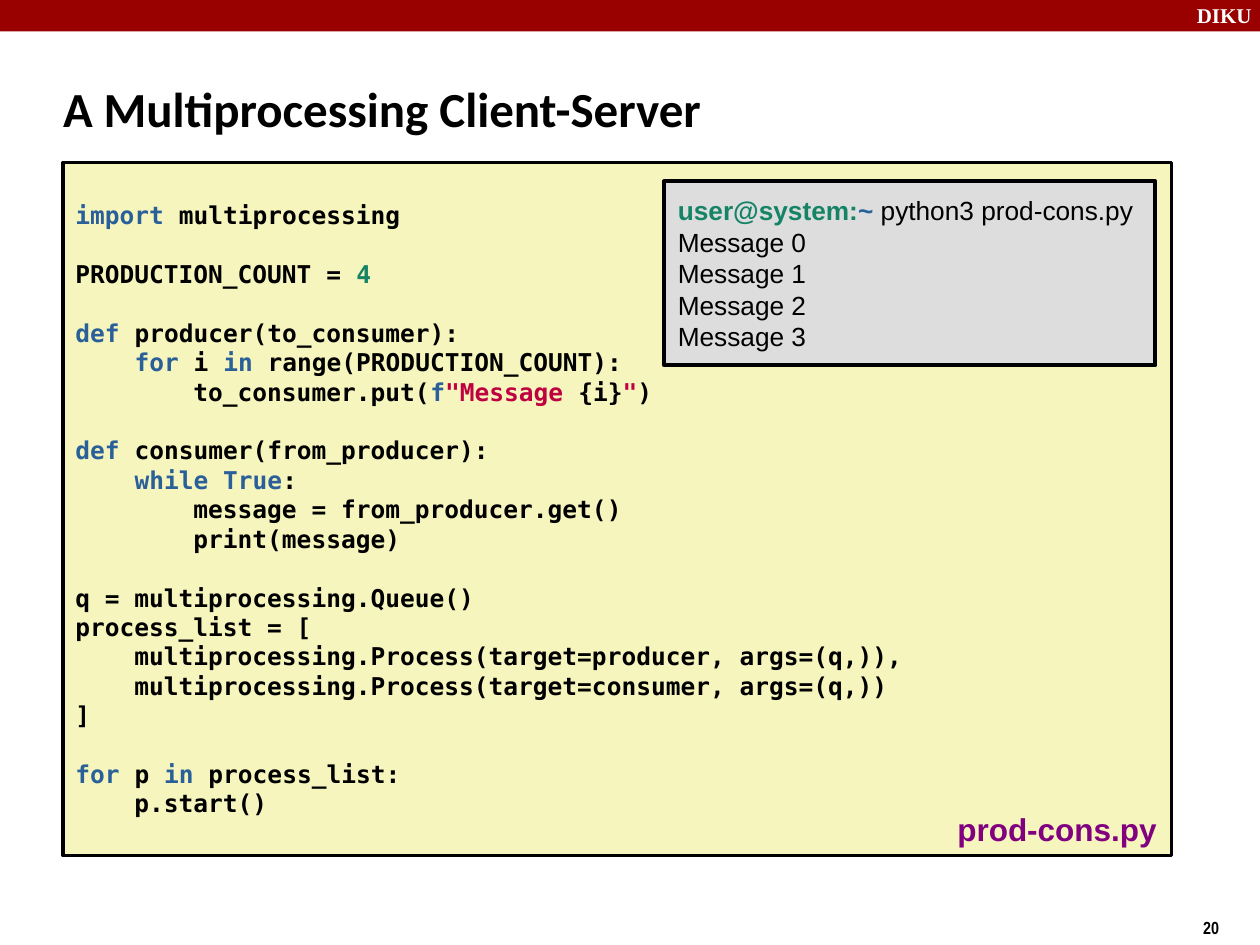
from pptx import Presentation
from pptx.dml.color import RGBColor
from pptx.enum.shapes import MSO_SHAPE
from pptx.enum.text import MSO_ANCHOR, MSO_AUTO_SIZE, PP_ALIGN
from pptx.util import Pt

PX = 9144  # EMU per px, 100 px to the inch

BLACK = RGBColor(0x00, 0x00, 0x00)
WHITE = RGBColor(0xFF, 0xFF, 0xFF)
BANNER_RED = RGBColor(0x99, 0x00, 0x00)
CODE_YELLOW = RGBColor(0xF6, 0xF5, 0xBD)
TERMINAL_GREY = RGBColor(0xDD, 0xDD, 0xDD)
BLUE = RGBColor(0x2A, 0x60, 0x99)
GREEN = RGBColor(0x15, 0x84, 0x66)
RED = RGBColor(0xBF, 0x00, 0x41)
PURPLE = RGBColor(0x80, 0x00, 0x80)

# Blocks of lines; a line is a list of (text, colour) spans.
CODE = [
    [[("import", BLUE), (" multiprocessing", BLACK)]],
    [[("PRODUCTION_COUNT = ", BLACK), ("4", GREEN)]],
    [
        [("def", BLUE), (" producer(to_consumer):", BLACK)],
        [("    ", BLACK), ("for", BLUE), (" i ", BLACK), ("in", BLUE),
         (" range(PRODUCTION_COUNT):", BLACK)],
        [("        to_consumer.put(", BLACK), ("f", BLUE), ('"Message', RED),
         (" {i}", BLACK), ('"', RED), (")", BLACK)],
    ],
    [
        [("def", BLUE), (" consumer(from_producer):", BLACK)],
        [("    ", BLACK), ("while True", BLUE), (":", BLACK)],
        [("        message = from_producer.get()", BLACK)],
        [("        print(message)", BLACK)],
    ],
    [
        [("q = multiprocessing.Queue()", BLACK)],
        [("process_list = [", BLACK)],
        [("    multiprocessing.Process(target=producer, args=(q,)),", BLACK)],
        [("    multiprocessing.Process(target=consumer, args=(q,))", BLACK)],
        [("]", BLACK)],
    ],
    [
        [("for", BLUE), (" p ", BLACK), ("in", BLUE), (" process_list:", BLACK)],
        [("    p.start()", BLACK)],
    ],
]
TERMINAL = [
    [[("user@system:", GREEN), ("~", BLUE), (" python3 prod-cons.py", BLACK)]]
    + [[(f"Message {number}", BLACK)] for number in range(4)]
]


def add_panel(left, top, width, height, fill, line_width=None):
    """Add a filled rectangle, outlined in black if a line width is given."""
    panel = page.shapes.add_shape(
        MSO_SHAPE.RECTANGLE, left * PX, top * PX, width * PX, height * PX)
    panel.shadow.inherit = False
    panel.fill.solid()
    panel.fill.fore_color.rgb = fill
    if line_width:
        panel.line.color.rgb = BLACK
        panel.line.width = Pt(line_width)
    else:
        panel.line.fill.background()
    return panel


def write_blocks(frame, blocks, font_name, size, bold):
    """Write coloured lines, one line's gap between blocks; colours may force bold."""
    frame.word_wrap = True
    frame.vertical_anchor = MSO_ANCHOR.MIDDLE
    para = None
    for block in blocks:
        for line in block:
            is_first = para is None
            para = frame.paragraphs[0] if is_first else frame.add_paragraph()
            para.alignment = PP_ALIGN.LEFT
            para.font.name = font_name
            para.font.size = Pt(size)
            if line is block[0] and not is_first:
                para.space_before = Pt(size * 1.2)
            for text, colour in line:
                span = para.add_run()
                span.text = text
                span.font.color.rgb = colour
                span.font.bold = bold or colour != BLACK


deck = Presentation()
deck.slide_width = 1000 * PX
deck.slide_height = 750 * PX
page = deck.slides.add_slide(deck.slide_layouts[5])

add_panel(0, 0, 1000, 25, BANNER_RED)

title = page.shapes.title
title.left, title.top, title.width, title.height = 40 * PX, 54 * PX, 783 * PX, 63 * PX
title.text_frame.text = "A Multiprocessing Client-Server"
title.text_frame.auto_size = MSO_AUTO_SIZE.NONE
title.text_frame.vertical_anchor = MSO_ANCHOR.MIDDLE
heading = title.text_frame.paragraphs[0]
heading.alignment = PP_ALIGN.LEFT
heading.font.name = "Calibri"
heading.font.size = Pt(28)
heading.font.bold = True
heading.font.color.rgb = BLACK

code_panel = add_panel(50, 129, 880, 550, CODE_YELLOW, 2)
write_blocks(code_panel.text_frame, CODE, "DejaVu Sans Mono", 14, True)

terminal = add_panel(527, 144, 390, 146, TERMINAL_GREY, 2.3)
terminal.text_frame.margin_left = terminal.text_frame.margin_right = 11 * PX
write_blocks(terminal.text_frame, TERMINAL, "Arial", 15, False)

LABELS = [
    ("DIKU", 940, -3, 67, 30, "Times New Roman", 12, WHITE),
    ("20", 945, 723, 75, 29, "Arial Narrow", 10, BLACK),
    ("prod-cons.py", 750, 638, 180, 40, "Arial", 18, PURPLE),
]
for text, left, top, width, height, font_name, size, colour in LABELS:
    box = page.shapes.add_textbox(left * PX, top * PX, width * PX, height * PX)
    box.text_frame.word_wrap = True
    para = box.text_frame.paragraphs[0]
    para.text = text
    para.font.name = font_name
    para.font.size = Pt(size)
    para.font.bold = True
    para.font.color.rgb = colour

deck.save("out.pptx")
